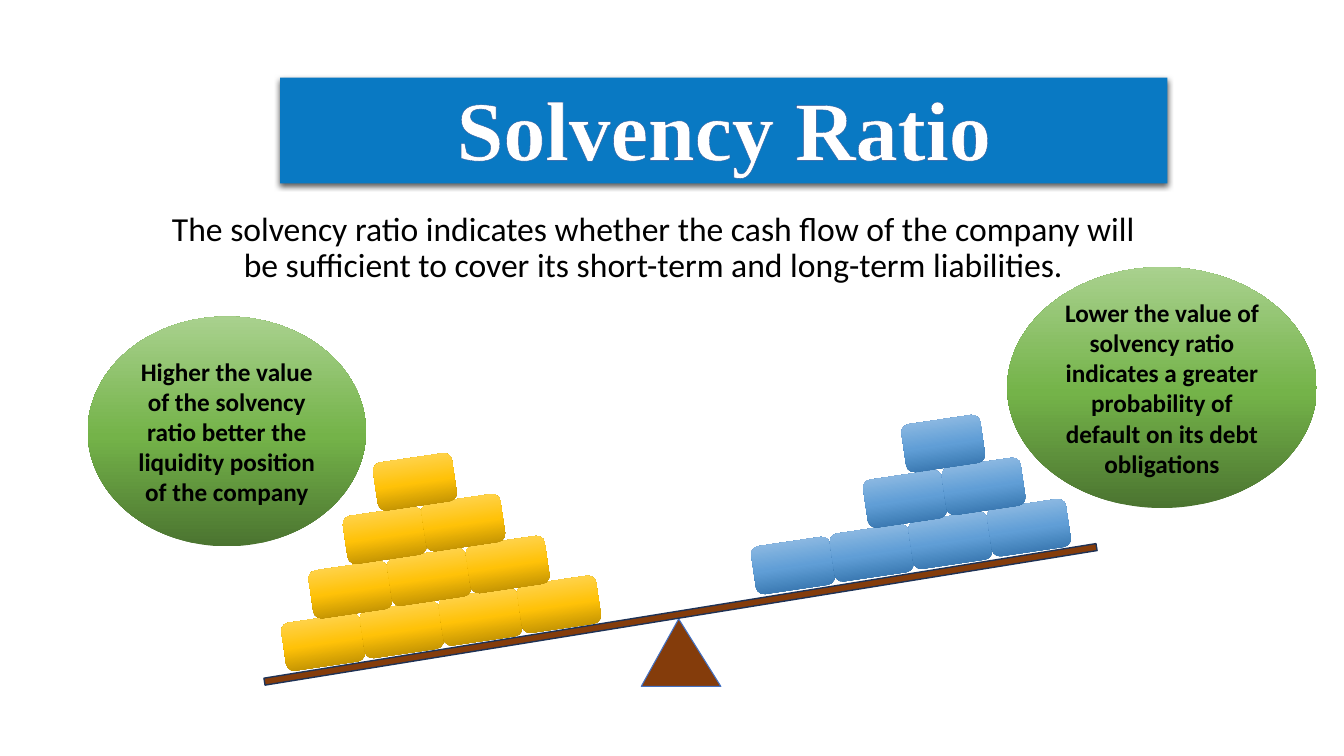
from copy import deepcopy
from lxml import etree
from pptx import Presentation, util as u
from pptx.dml.color import RGBColor
from pptx.enum import shapes, text
from pptx.oxml import parse_xml
from pptx.oxml.ns import nsdecls

WHITE = RGBColor(0xFF, 0xFF, 0xFF)
BLACK = RGBColor(0, 0, 0)
BLUE = RGBColor(0x09, 0x79, 0xC3)
BROWN = RGBColor(0x84, 0x3C, 0x0B)
NAVY = RGBColor(0x1E, 0x32, 0x56)
EDGE = RGBColor(0x44, 0x72, 0xC4)
INK = RGBColor(0x2F, 0x55, 0x97)
# Gradients run from the bottom up
GOLD = (RGBColor(0xAB, 0x81, 0x00), RGBColor(0xFF, 0xC2, 0x08), RGBColor(0xFF, 0xD9, 0x66))
SKY = (RGBColor(0x2A, 0x69, 0xA2), RGBColor(0x60, 0x9E, 0xD6), RGBColor(0x9D, 0xC3, 0xE6))
GREEN = (RGBColor(0x4B, 0x74, 0x30), RGBColor(0x74, 0xB3, 0x49), RGBColor(0xA9, 0xD1, 0x8E))
STOPS = (0, 0.48, 1)

KIND = shapes.MSO_SHAPE
ANCHOR = text.MSO_ANCHOR
CELL = u.Inches(0.1)  # one column or row of the grid
TILT = 351.6
BRICK = (7.9, 4.8)
STEP = (7.8, -1.25)  # from one brick to the next along the beam


class Deck:
    body = "Calibri"
    head = "Times New Roman"

    def __init__(self):
        self.prs = Presentation()
        self.prs.slide_width = u.Inches(13.33)
        self.prs.slide_height = u.Inches(7.5)
        self.slide = self.prs.slides.add_slide(self.prs.slide_layouts[6])

    def box(self, at):
        return [round(n * CELL) for n in at]

    def shape(self, kind, at, fill, line=None, width=1, turn=0):
        """A tuple as fill gives a gradient, a single colour a plain fill."""
        item = self.slide.shapes.add_shape(kind, *self.box(at))
        item.shadow.inherit = False
        item.rotation = turn
        # RGBColor is itself a tuple, so it is tested first
        if isinstance(fill, RGBColor):
            item.fill.solid()
            item.fill.fore_color.rgb = fill
        else:
            self.blend(item.fill, fill)
        if line is None:
            item.line.fill.background()
        else:
            item.line.color.rgb = line
            item.line.width = u.Pt(width)
        return item

    def blend(self, fill, tones):
        fill.gradient()
        fill.gradient_angle = 90
        first = fill.gradient_stops[0]._gs
        first.addnext(deepcopy(first))
        for stop, spot, tone in zip(fill.gradient_stops, STOPS, tones):
            stop.position = spot
            stop.color.rgb = tone

    def label(self, item, words, size, font=body, color=BLACK, bold=False,
              anchor=ANCHOR.MIDDLE, lead=None, before=None):
        frame = item.text_frame
        frame.word_wrap = True
        frame.vertical_anchor = anchor
        para = frame.paragraphs[0]
        para.alignment = text.PP_ALIGN.CENTER
        para.line_spacing = lead
        para.space_before = before
        run = para.add_run()
        run.text = words
        run.font.size = u.Pt(size)
        run.font.name = font
        run.font.bold = bold
        run.font.color.rgb = color
        return run

    def title(self, at, words):
        item = self.shape(KIND.RECTANGLE, at, BLUE)
        glow = item._element.spPr.find("{*}effectLst")
        glow.append(parse_xml(
            f'<a:outerShdw {nsdecls("a")} blurRad="{u.Pt(4.5)}" dist="{u.Pt(1.5)}" '
            'dir="5400000" algn="ctr" rotWithShape="0">'
            '<a:srgbClr val="000000"><a:alpha val="63000"/></a:srgbClr></a:outerShdw>'))
        run = self.label(item, words, 60, self.head, WHITE, True, ANCHOR.BOTTOM, 0.9)
        run.font._element.insert(0, etree.fromstring(
            f'<a:ln {nsdecls("a")} w="{u.Pt(0.75)}"><a:solidFill>'
            f'<a:srgbClr val="{INK}"/></a:solidFill></a:ln>'))

    def note(self, at, words):
        item = self.slide.shapes.add_textbox(*self.box(at))
        self.label(item, words, 24, anchor=ANCHOR.TOP, lead=0.9, before=u.Pt(10))

    def bubble(self, at, words):
        self.label(self.shape(KIND.OVAL, at, GREEN), words, 18, bold=True)

    def scale(self):
        stand = self.shape(KIND.ISOSCELES_TRIANGLE, (63.6, 61.4, 7.9, 6.7), BROWN, EDGE, 0.75)
        stand.adjustments[0] = 0.47
        self.shape(KIND.RECTANGLE, (25.7, 60.6, 83.6, 0.7), BROWN, NAVY, 1, 350.8)

    def pile(self, rows, tones):
        """Each row is left, top and number of bricks."""
        for left, top, count in rows:
            for i in range(count):
                at = (left + i * STEP[0], top + i * STEP[1], *BRICK)
                self.shape(KIND.ROUNDED_RECTANGLE, at, tones, turn=TILT)


def main():
    deck = Deck()
    deck.title((27.8, 7.7, 88, 10.5), "Solvency Ratio")
    deck.note((14.8, 20.6, 100, 18.1),
              "The solvency ratio indicates whether the cash flow of the company will "
              "be sufficient to cover its short-term and long-term liabilities.")
    deck.scale()
    deck.pile([(28.1, 61.3, 4), (30.8, 56.1, 3), (34.2, 50.7, 2), (37.2, 45.4, 1)], GOLD)
    deck.pile([(74.7, 53.7, 4), (85.8, 47.1, 2), (89.6, 41.6, 1)], SKY)
    deck.bubble((8.7, 31.4, 27.6, 22.8),
                "Higher the value of the solvency ratio better the liquidity position "
                "of the company")
    deck.bubble((99.9, 26.5, 30.7, 23.9),
                "Lower the value of solvency ratio indicates a greater probability of "
                "default on its debt obligations")
    deck.prs.save("out.pptx")


if __name__ == "__main__":
    main()
